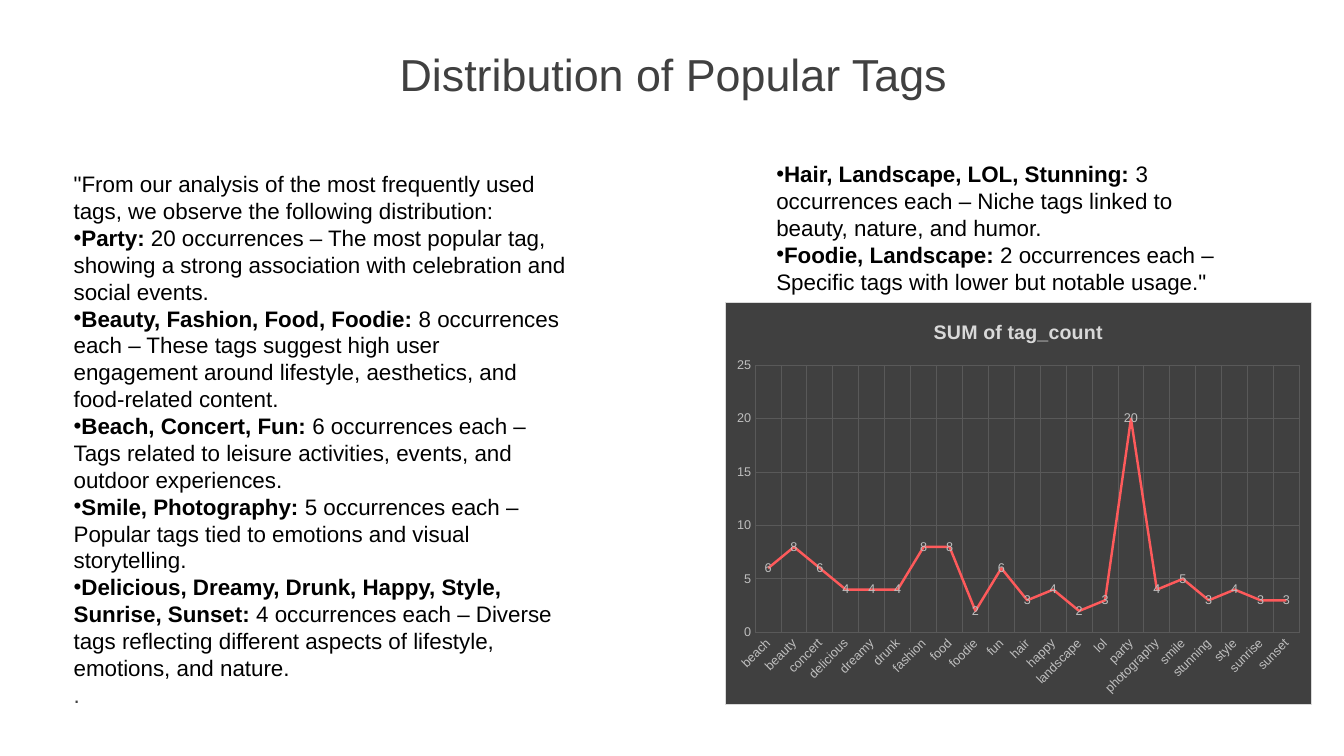
import pptx
import pptx.chart.data
import pptx.dml.color
import pptx.enum.chart
import pptx.enum.text
import pptx.oxml
import pptx.oxml.ns
import pptx.util
import lxml.etree

WIDE, HIGH = pptx.util.Inches(13.33), pptx.util.Inches(7.5)
FACE = "Arial"
DARK, INK, PALE, SOFT = "404040", "000000", "D9D9D9", "BFBFBF"
GRID, CORAL = "595959", "FE5A5B"

# Each line is (bold lead, plain rest, colour); a lead brings a bullet.
LEFT = [
    ("", "\"From our analysis of the most frequently used tags, we observe "
     "the following distribution:", INK),
    ("Party:", " 20 occurrences – The most popular tag, showing a strong "
     "association with celebration and social events.", INK),
    ("Beauty, Fashion, Food, Foodie:", " 8 occurrences each – These tags "
     "suggest high user engagement around lifestyle, aesthetics, and "
     "food-related content.", INK),
    ("Beach, Concert, Fun:", " 6 occurrences each – Tags related to leisure "
     "activities, events, and outdoor experiences.", INK),
    ("Smile, Photography:", " 5 occurrences each – Popular tags tied to "
     "emotions and visual storytelling.", INK),
    ("Delicious, Dreamy, Drunk, Happy, Style, Sunrise, Sunset:",
     " 4 occurrences each – Diverse tags reflecting different aspects of "
     "lifestyle, emotions, and nature.", INK),
    ("", ".", DARK),
]
RIGHT = [
    ("Hair, Landscape, LOL, Stunning:", " 3 occurrences each – Niche tags "
     "linked to beauty, nature, and humor.", INK),
    ("Foodie, Landscape:", " 2 occurrences each – Specific tags with lower "
     "but notable usage.\"", INK),
]
TAGS = {
    "beach": 6, "beauty": 8, "concert": 6, "delicious": 4, "dreamy": 4,
    "drunk": 4, "fashion": 8, "food": 8, "foodie": 2, "fun": 6, "hair": 3,
    "happy": 4, "landscape": 2, "lol": 3, "party": 20, "photography": 4,
    "smile": 5, "stunning": 3, "style": 4, "sunrise": 3, "sunset": 3,
}


def area(left, top, width, height):
    """Turn percentages of the slide into lengths."""
    return [int(whole * part / 100) for whole, part in
            zip((WIDE, HIGH, WIDE, HIGH), (left, top, width, height))]


def place(shape, spot):
    shape.left, shape.top, shape.width, shape.height = spot


def tint(hue):
    return pptx.dml.color.RGBColor.from_string(hue)


def style(font, size, hue, bold=False):
    font.name, font.size, font.bold = FACE, pptx.util.Pt(size), bold
    font.color.rgb = tint(hue)


def stroke(line, hue, width=0.75):
    line.color.rgb = tint(hue)
    line.width = pptx.util.Pt(width)


def add_run(para, text, size, hue, bold=False):
    run = para.add_run()
    run.text = text
    style(run.font, size, hue, bold)


def set_bullet(para, mark):
    """Set a flush bullet, or none when mark is empty."""
    props = para._p.get_or_add_pPr()
    props.set("marL", "0")
    props.set("indent", "0")
    kind = "a:buChar" if mark else "a:buNone"
    node = lxml.etree.SubElement(props, pptx.oxml.ns.qn(kind))
    if mark:
        node.set("char", mark)


def fill_title(shape, text, spot):
    place(shape, spot)
    frame = shape.text_frame
    frame.vertical_anchor = pptx.enum.text.MSO_ANCHOR.MIDDLE
    para = frame.paragraphs[0]
    para.alignment = pptx.enum.text.PP_ALIGN.CENTER
    para.line_spacing = 0.9
    add_run(para, text, 32, DARK)


def fill_list(shape, lines, spot):
    place(shape, spot)
    frame = shape.text_frame
    frame.auto_size = pptx.enum.text.MSO_AUTO_SIZE.SHAPE_TO_FIT_TEXT
    for index, (lead, rest, hue) in enumerate(lines):
        para = frame.add_paragraph() if index else frame.paragraphs[0]
        para.line_spacing = pptx.util.Pt(19.2)
        para.space_before = pptx.util.Pt(0)
        set_bullet(para, "•" if lead else "")
        if lead:
            add_run(para, lead, 16, hue, True)
        add_run(para, rest, 16, hue)


def paint_back(chart):
    """Give the chart area its fill and border."""
    width = pptx.util.Pt(0.75)
    props = pptx.oxml.parse_xml(
        f'<c:spPr {pptx.oxml.ns.nsdecls("c", "a")}>'
        f'<a:solidFill><a:srgbClr val="{DARK}"/></a:solidFill>'
        f'<a:ln w="{width}"><a:solidFill><a:srgbClr val="{PALE}"/>'
        '</a:solidFill></a:ln></c:spPr>')
    chart._chartSpace.find(pptx.oxml.ns.qn("c:chart")).addnext(props)


def set_axis(axis):
    axis.major_tick_mark = pptx.enum.chart.XL_TICK_MARK.NONE
    axis.minor_tick_mark = pptx.enum.chart.XL_TICK_MARK.NONE
    axis.has_major_gridlines = True
    stroke(axis.major_gridlines.format.line, GRID)
    axis.format.line.fill.background()
    style(axis.tick_labels.font, 9, SOFT)


def add_graph(slide, spot):
    data = pptx.chart.data.CategoryChartData()
    data.categories = list(TAGS)
    data.add_series("SUM of tag_count", list(TAGS.values()))
    chart = slide.shapes.add_chart(
        pptx.enum.chart.XL_CHART_TYPE.LINE, *spot, data).chart
    style(chart.font, 10, INK)
    paint_back(chart)
    chart.has_legend = False
    chart.has_title = True
    add_run(chart.chart_title.text_frame.paragraphs[0],
            "SUM of tag_count", 14, PALE, True)
    chart.chart_title.include_in_layout = False

    for axis in (chart.category_axis, chart.value_axis):
        set_axis(axis)
    slant = chart.category_axis._element.find(
        ".//" + pptx.oxml.ns.qn("a:bodyPr"))
    slant.set("rot", str(-45 * 60000))
    chart.value_axis.minimum_scale = 0
    chart.value_axis.maximum_scale = 25
    chart.value_axis.major_unit = 5

    plot = chart.plots[0]
    plot.vary_by_categories = False
    series = plot.series[0]
    series.smooth = False
    series.marker.style = pptx.enum.chart.XL_MARKER_STYLE.NONE
    stroke(series.format.line, CORAL, 1.75)
    labels = series.data_labels
    labels.show_value = True
    labels.position = pptx.enum.chart.XL_LABEL_POSITION.CENTER
    style(labels.font, 9, SOFT)


def main():
    deck = pptx.Presentation()
    deck.slide_width, deck.slide_height = WIDE, HIGH
    layout = deck.slide_layouts.get_by_name("Two Content")
    slide = deck.slides.add_slide(layout)
    title, left, right = slide.placeholders
    fill_title(title, "Distribution of Popular Tags",
               area(2.63, 4.93, 94.97, 10.53))
    fill_list(left, LEFT, area(4.73, 21.87, 38.26, 73.2))
    fill_list(right, RIGHT, area(57.01, 20.53, 34.21, 23.33))
    add_graph(slide, area(53.94, 40, 43.66, 53.2))
    deck.save("out.pptx")


if __name__ == "__main__":
    main()
